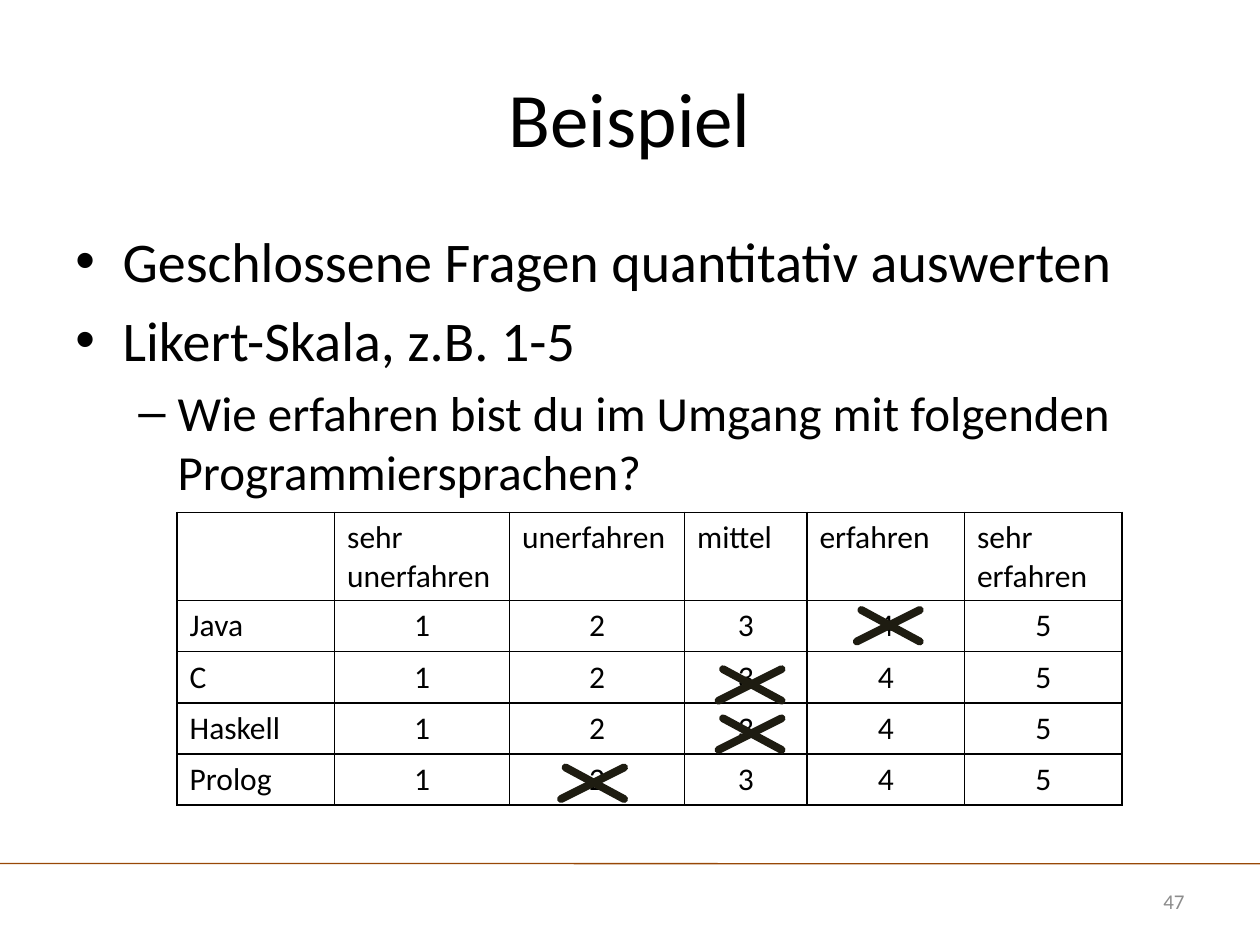
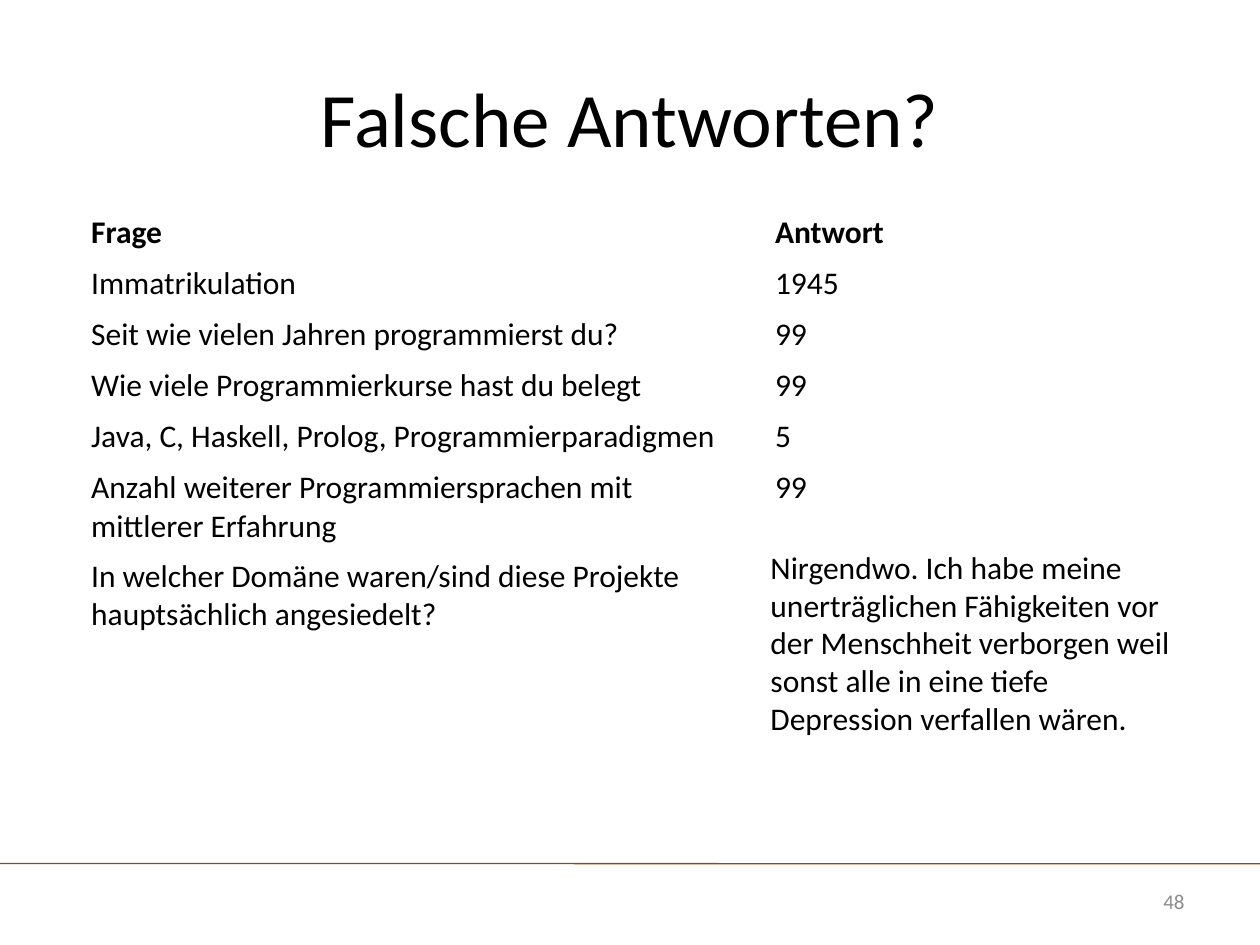
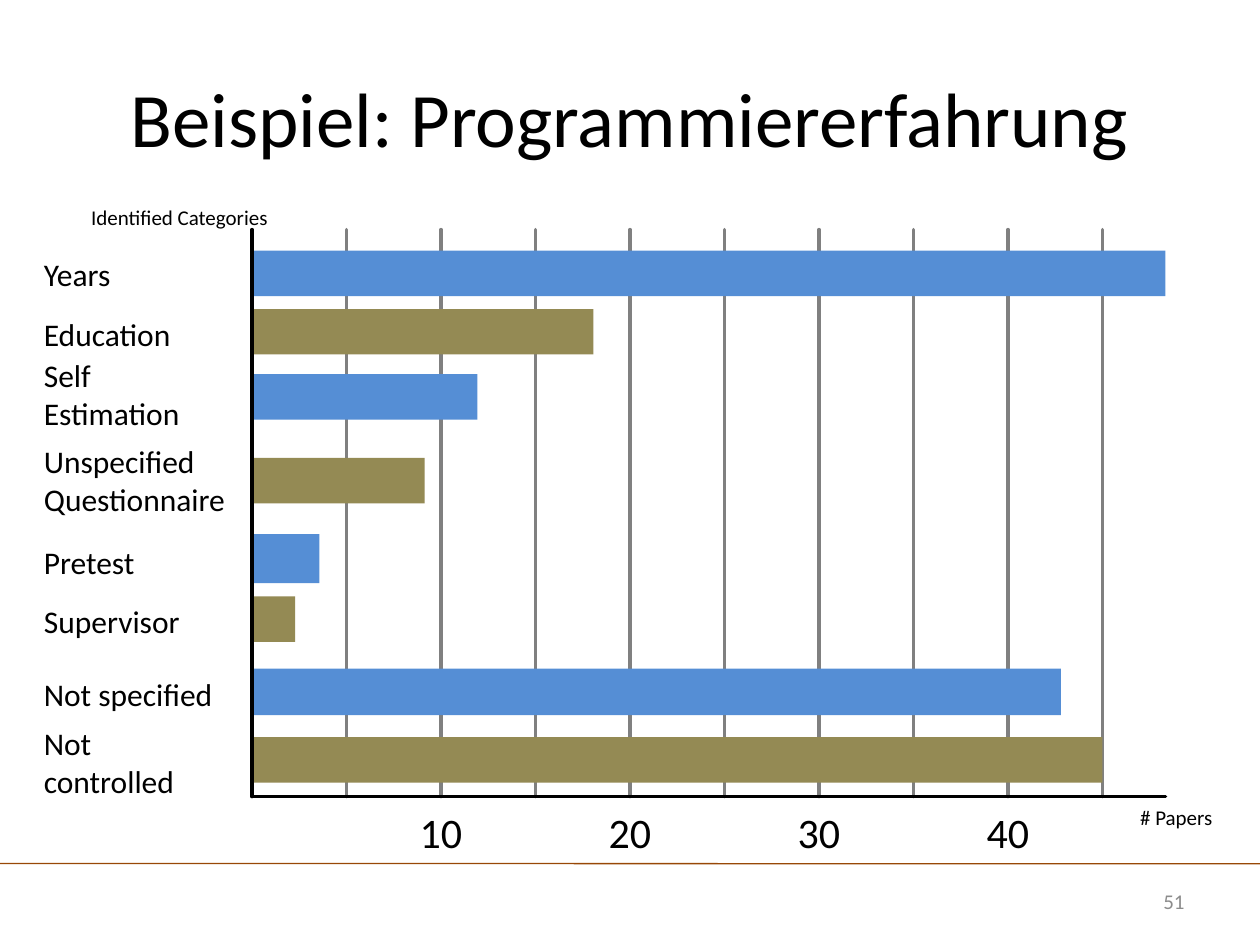
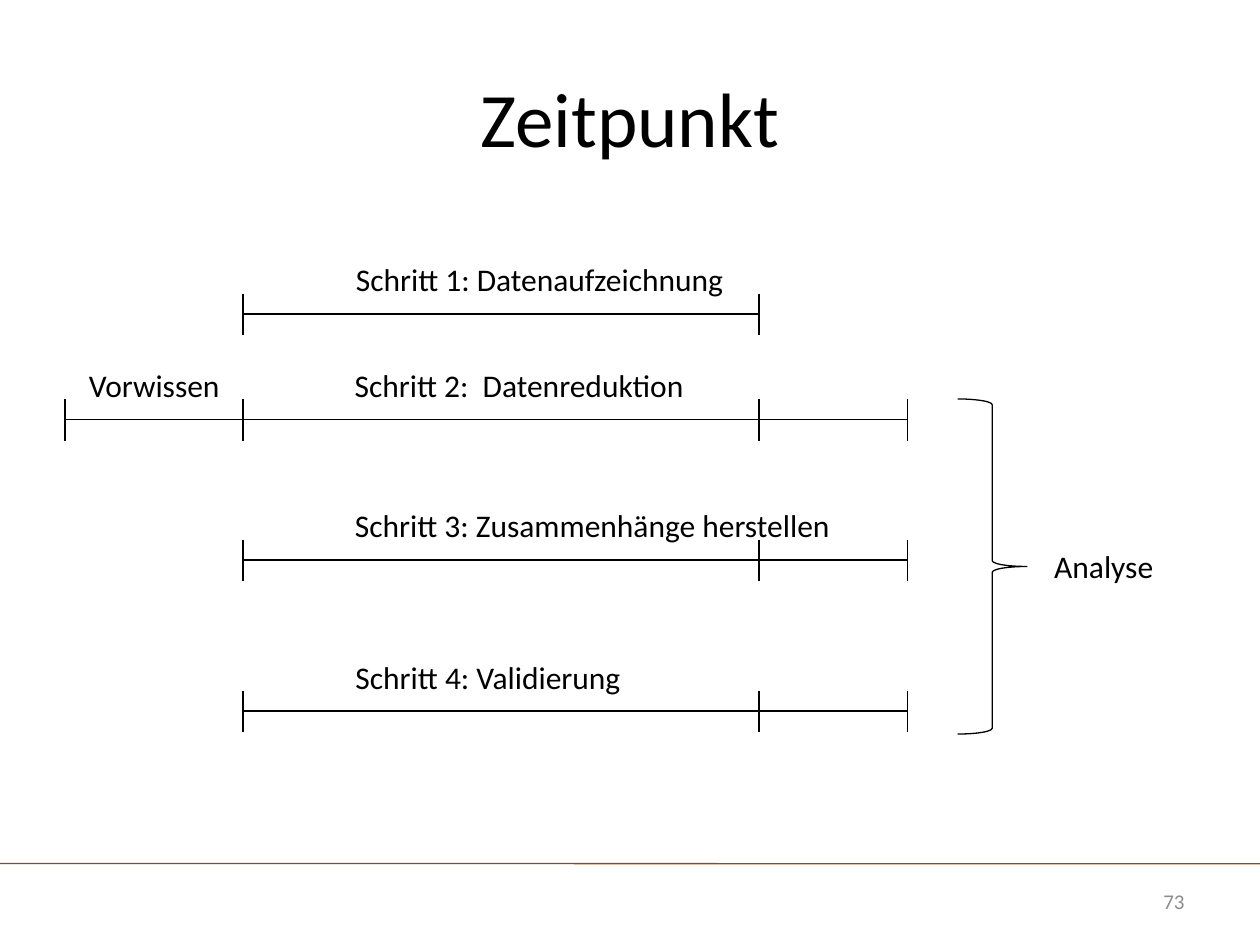
from typing import NamedTuple

from lxml.etree import SubElement
from pptx import Presentation
from pptx.dml.color import RGBColor
from pptx.enum.shapes import MSO_CONNECTOR as Connector, MSO_SHAPE as Shape
from pptx.enum.text import MSO_ANCHOR as Anchor, PP_ALIGN as Align
from pptx.oxml.ns import qn
from pptx.util import Pt

# Shared look
FONT = "Calibri"
BLACK, WHITE, GRAY, GRID = "000000", "FFFFFF", "8C8C8C", "808080"
BROWN, INK, BLUE, OLIVE = "984807", "1E1C11", "558ED5", "948A54"
TITLE_SIZE, TEXT_SIZE, SMALL_SIZE = 44, 18, 12
ROW_HEIGHT = 29.2


class Box(NamedTuple):
    left: float
    top: float
    width: float
    height: float

    def points(self):
        return [Pt(length) for length in self]


TITLE_BOX = Box(36, 21.6, 648, 90)
BODY_BOX = Box(36, 126, 648, 356.4)
NUMBER_BOX = Box(618.5, 500.4, 65.5, 28.8)


def color(hex_string):
    return RGBColor.from_string(hex_string)


def apply_format(target, values):
    for name, value in values.items():
        setattr(target, name, value)


# Basic parts
def write(paragraph, text, size=TEXT_SIZE, ink=BLACK, bold=False, align=Align.LEFT):
    paragraph.alignment = align
    run = paragraph.add_run()
    run.text = text
    apply_format(run.font, {"name": FONT, "size": Pt(size), "bold": bold})
    run.font.color.rgb = color(ink)


def add_text(slide, box, text, anchor=Anchor.MIDDLE, **style):
    frame = slide.shapes.add_textbox(*box.points()).text_frame
    apply_format(frame, {"word_wrap": True, "vertical_anchor": anchor})
    write(frame.paragraphs[0], text, **style)


def add_line(shapes, start, end, ink=BLACK, width=1, cap="flat"):
    ends = [Pt(length) for length in (*start, *end)]
    connector = shapes.add_connector(Connector.STRAIGHT, *ends)
    connector.line.color.rgb = color(ink)
    connector.line.width = Pt(width)
    properties = connector.element.spPr
    properties.find(qn("a:ln")).set("cap", cap)
    SubElement(properties, qn("a:effectLst"))


def add_bar(slide, box, fill):
    bar = slide.shapes.add_shape(Shape.RECTANGLE, *box.points())
    bar.shadow.inherit = False
    bar.fill.solid()
    bar.fill.fore_color.rgb = color(fill)
    bar.line.fill.background()


def add_bullets(slide, box, items):
    levels = [("•", 32, 27, 27), ("–", 28, 58.5, 22.5)]
    frame = slide.shapes.add_textbox(*box.points()).text_frame
    frame.word_wrap = True
    for index, (level, text) in enumerate(items):
        mark, size, margin, hang = levels[level]
        paragraph = frame.add_paragraph() if index else frame.paragraphs[0]
        properties = paragraph._p.get_or_add_pPr()
        properties.set("marL", str(Pt(margin)))
        properties.set("indent", str(-Pt(hang)))
        SubElement(properties, qn("a:buFont")).set("typeface", "Arial")
        SubElement(properties, qn("a:buChar")).set("char", mark)
        if index:
            paragraph.space_before = Pt(size / 5)
        paragraph.level = level
        write(paragraph, text, size)


def add_border(cell, side, ink, width):
    line = SubElement(cell._tc.get_or_add_tcPr(), qn(f"a:ln{side}"), w=str(Pt(width)))
    fill = SubElement(line, qn("a:solidFill"))
    SubElement(fill, qn("a:srgbClr"), val=ink)


def add_grid(slide, left, top, widths, rows, ink, bold_header=False, center_values=False):
    box = Box(left, top, sum(widths), ROW_HEIGHT * len(rows))
    table = slide.shapes.add_table(len(rows), len(widths), *box.points()).table
    apply_format(table, {"first_row": False, "horz_banding": False})
    for column, width in zip(table.columns, widths):
        column.width = Pt(width)
    for row_index, row in enumerate(rows):
        table.rows[row_index].height = Pt(ROW_HEIGHT)
        header = row_index == 0
        for column_index, text in enumerate(row):
            cell = table.cell(row_index, column_index)
            centered = center_values and not header and column_index > 0
            for side in "LRTB":
                heavy = bold_header and ((header and side == "B") or (row_index == 1 and side == "T"))
                add_border(cell, side, ink, 3 if heavy else 1)
            cell.fill.background()
            cell.vertical_anchor = Anchor.MIDDLE if centered else Anchor.TOP
            frame = cell.text_frame
            for line_index, line in enumerate(text.splitlines()):
                paragraph = frame.add_paragraph() if line_index else frame.paragraphs[0]
                write(paragraph, line, bold=header and bold_header,
                      align=Align.CENTER if centered else Align.LEFT)


def new_slide(presentation, title, number):
    slide = presentation.slides.add_slide(presentation.slide_layouts[6])
    add_line(slide.shapes, (0, 493.4), (720, 493.6), BROWN, 0.75)
    add_text(slide, TITLE_BOX, title, size=TITLE_SIZE, align=Align.CENTER)
    add_text(slide, NUMBER_BOX, str(number), size=SMALL_SIZE, ink=GRAY, align=Align.RIGHT)
    return slide


# Likert scale with crossed answers
def add_cross(slide, box):
    shapes = slide.shapes.add_group_shape().shapes
    right, bottom = box.left + box.width, box.top + box.height
    pen = {"ink": INK, "width": 4.5, "cap": "rnd"}
    add_line(shapes, (box.left, bottom), (right, box.top), **pen)
    add_line(shapes, (right, bottom), (box.left + 2.6, box.top), **pen)


def add_likert_scale(slide, left, top):
    header = ["", "sehr\nunerfahren", "unerfahren", "mittel", "erfahren", "sehr erfahren"]
    languages = ["Java", "C", "Haskell", "Prolog"]
    rows = [header] + [[name, *"12345"] for name in languages]
    add_grid(slide, left, top, [90, 100, 100, 70, 90, 90], rows, BLACK, center_values=True)
    for x, y in [(388.4, 55.8), (309.4, 89.6), (309.4, 117.7), (219.4, 145.8)]:
        add_cross(slide, Box(left + x, top + y, 36, 18))


# Bar diagram of paper counts
def add_paper_bars(slide, box):
    per_paper = 10.8
    bottom = box.top + box.height
    for papers in range(5, 50, 5):
        x = box.left + papers * per_paper
        add_line(slide.shapes, (x, box.top), (x, bottom), GRID, 2, "rnd")
        if papers % 10 == 0:
            add_text(slide, Box(x - 21, bottom, 42, 39.6), str(papers),
                     size=24, align=Align.CENTER)

    # Category, papers, bar top and height, label top, width and height
    categories = [
        ("Years", 48.33, 12, 26, 14, 84, 23),
        ("Education", 18.07, 45.4, 26, 48.6, 116, 22.3),
        ("Self Estimation", 11.93, 82.6, 26, 82.8, 116, 22.3),
        ("Unspecified Questionnaire", 9.13, 130.4, 26, 130.6, 126, 25.2),
        ("Pretest", 3.57, 174, 28, 179, 116, 22.3),
        ("Supervisor", 2.28, 209.6, 26, 212.4, 126, 22.3),
        ("Not specified", 42.8, 250.9, 26.6, 252.4, 116, 26),
        ("Not controlled", 45, 290, 26, 292, 116, 24.5),
    ]
    for index, (name, papers, y, height, label_y, label_width, label_height) in enumerate(categories):
        bar = Box(box.left, box.top + y, papers * per_paper, height)
        add_bar(slide, bar, OLIVE if index % 2 else BLUE)
        add_text(slide, Box(box.left - 126, box.top + label_y, label_width, label_height), name)

    # Axes and their names
    add_line(slide.shapes, (box.left, bottom), (box.left + box.width, bottom), width=2, cap="rnd")
    add_line(slide.shapes, (box.left, box.top), (box.left, bottom), width=2, cap="rnd")
    add_text(slide, Box(box.left - 99, box.top - 18.7, 135, 23), "Identified Categories", size=SMALL_SIZE)
    add_text(slide, Box(box.left + 500.4, bottom + 0.5, 70, 23), "# Papers", size=SMALL_SIZE)


# Timeline of the analysis steps
def add_timeline(slide, box):
    prior, start, recorded, end = [box.left + x for x in (0, 101.8, 396.4, 481.4)]
    # Axis offset, tick positions, label text, label offset and width
    steps = [
        (39.3, (start, recorded), "Schritt 1: Datenaufzeichnung", 150.2, 242),
        (99.8, (prior, start, recorded, end), "Schritt 2:  Datenreduktion", 129.2, 260.6),
        (180, (start, recorded, end), "Schritt 3: Zusammenhänge herstellen", 155.2, 292.3),
        (266.4, (start, recorded, end), "Schritt 4: Validierung", 143.8, 195.8),
    ]
    for offset, ticks, text, label_x, label_width in steps:
        y = box.top + offset
        shapes = slide.shapes.add_group_shape().shapes
        add_line(shapes, (ticks[0], y), (ticks[-1], y))
        for x in ticks:
            add_line(shapes, (x, y - 11.5), (x, y + 12))
        add_text(slide, Box(box.left + label_x, y - 39.6, label_width, 39.6), text, align=Align.CENTER)
    add_text(slide, Box(box.left + 0.2, box.top + 60.2, 101.5, 39.6), "Vorwissen", align=Align.CENTER)

    # Bracket around the analysis steps
    bracket = Box(box.left + 510, box.top + 88, 39.6, 191.5)
    brace = slide.shapes.add_shape(Shape.RIGHT_BRACE, *bracket.points())
    brace.shadow.inherit = False
    brace.fill.background()
    brace.line.color.rgb = color(BLACK)
    brace.line.width = Pt(0.75)
    add_text(slide, Box(box.left + 543.8, box.top + 163.8, 99.4, 39.6), "Analyse", align=Align.CENTER)


# Slides
def likert_slide(presentation):
    slide = new_slide(presentation, "Beispiel", 47)
    add_bullets(slide, BODY_BOX, [
        (0, "Geschlossene Fragen quantitativ auswerten"),
        (0, "Likert-Skala, z.B. 1-5"),
        (1, "Wie erfahren bist du im Umgang mit folgenden Programmiersprachen?"),
    ])
    add_likert_scale(slide, 101.2, 292.8)


def answers_slide(presentation):
    slide = new_slide(presentation, "Falsche Antworten?", 48)
    rows = [
        ("Frage", "Antwort"),
        ("Immatrikulation", "1945"),
        ("Seit wie vielen Jahren programmierst du?", "99"),
        ("Wie viele Programmierkurse hast du belegt", "99"),
        ("Java, C, Haskell, Prolog, Programmierparadigmen", "5"),
        ("Anzahl weiterer Programmiersprachen mit mittlerer Erfahrung", "99"),
        ("In welcher Domäne waren/sind diese Projekte hauptsächlich angesiedelt?", ""),
        ("", ""),
    ]
    add_grid(slide, 44.9, 118.4, [390.8, 245], rows, WHITE, bold_header=True)
    add_text(slide, Box(433.2, 309.5, 253.4, 116.6),
             "Nirgendwo. Ich habe meine unerträglichen Fähigkeiten vor der Menschheit "
             "verborgen weil sonst alle in eine tiefe Depression verfallen wären.",
             anchor=Anchor.TOP)


def experience_slide(presentation):
    slide = new_slide(presentation, "Beispiel: Programmiererfahrung", 51)
    add_paper_bars(slide, Box(144, 131.2, 522, 324))


def timeline_slide(presentation):
    slide = new_slide(presentation, "Zeitpunkt", 73)
    add_timeline(slide, Box(37.2, 140, 643.2, 280))


def main():
    presentation = Presentation()
    apply_format(presentation, {"slide_width": Pt(720), "slide_height": Pt(540)})
    for build in (likert_slide, answers_slide, experience_slide, timeline_slide):
        build(presentation)
    presentation.save("out.pptx")


if __name__ == "__main__":
    main()
